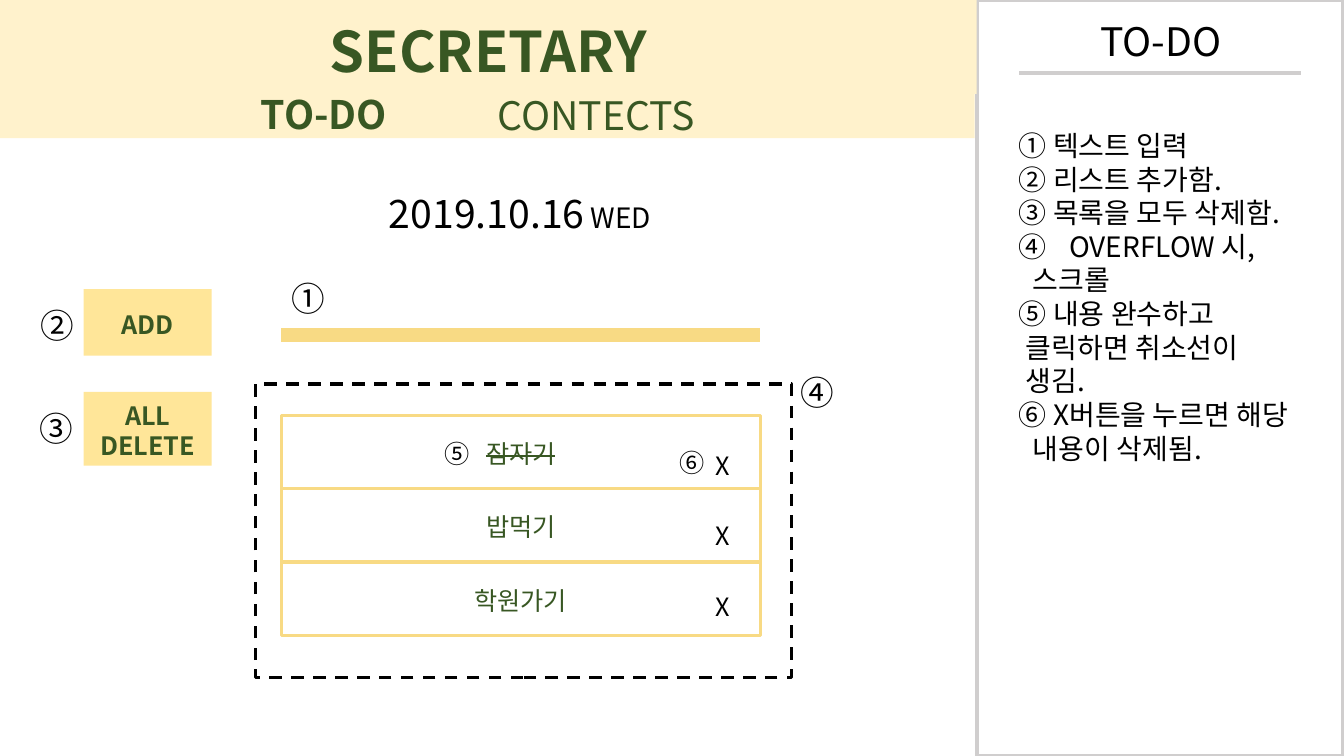
from lxml.etree import SubElement
from pptx import Presentation
from pptx.dml.color import RGBColor
from pptx.enum.dml import MSO_LINE
from pptx.enum.shapes import MSO_CONNECTOR, MSO_SHAPE
from pptx.enum.text import MSO_ANCHOR, MSO_AUTO_SIZE, PP_ALIGN
from pptx.oxml.ns import qn
from pptx.util import Pt

FONT = "Noto Sans CJK KR"
CREAM = RGBColor(0xFF, 0xF2, 0xCC)
BUTTON_YELLOW = RGBColor(0xFF, 0xE6, 0x99)
LINE_YELLOW = RGBColor(0xF8, 0xDA, 0x84)
GREEN = RGBColor(0x38, 0x57, 0x23)
GRAY = RGBColor(0xD0, 0xCE, 0xCE)
BLACK = RGBColor(0, 0, 0)

TITLE = "SECRETARY"
TABS = [("TO-DO", 179.3, 59, 114, True), ("CONTECTS", 348.5, 59.8, 156, False)]
SIDEBAR_TITLE = "TO-DO"
DATE, WEEKDAY = "2019.10.16", " WED"
BUTTONS = [("ADD", 206.6, 47.5), ("ALL DELETE", 280, 52.6)]
TASKS = [("잠자기", True), ("밥먹기", False), ("학원가기", False)]
DELETE_MARK = "X"
MARKERS = [
    ("①", 201, 193.7, 24),
    ("②", 21.6, 213, 24),
    ("③", 21, 286.6, 24),
    ("④", 564.5, 260.6, 24),
    ("⑤", 310.3, 308.2, 18),
    ("⑥", 478, 314.6, 18),
]
NUMBERED_NOTE = "OVERFLOW 시,"
NOTES = [
    ("① 텍스트 입력", 0),
    ("② 리스트 추가함.", 0),
    ("③ 목록을 모두 삭제함.", 0),
    (NUMBERED_NOTE, 36),
    ("스크롤", 10),
    ("⑤ 내용 완수하고", 0),
    ("클릭하면 취소선이", 5),
    ("생김.", 5),
    ("⑥ X버튼을 누르면 해당", 0),
    ("내용이 삭제됨.", 10),
]

ROW_LEFT, ROW_TOP, ROW_WIDTH, ROW_HEIGHT, ROW_STEP = 201, 296.6, 342, 52.6, 52.3
MARK_TOP, MARK_STEP = 316.8, 50.4


def format_run(run, size, color, bold=False, strike=False):
    font = run.font
    font.size = Pt(size)
    font.bold = bold
    font.color.rgb = color
    font.name = FONT
    properties = run._r.get_or_add_rPr()
    SubElement(properties, qn("a:ea")).set("typeface", FONT)
    if strike:
        properties.set("strike", "sngStrike")


def format_text(shape, size, color, bold=False, strike=False,
                align=PP_ALIGN.LEFT, anchor=MSO_ANCHOR.TOP, wrap=True):
    frame = shape.text_frame
    frame.auto_size = MSO_AUTO_SIZE.NONE
    frame.word_wrap = wrap
    frame.vertical_anchor = anchor
    frame.margin_left = frame.margin_right = Pt(7.2)
    frame.margin_top = Pt(3.6 + 0.06 * size)
    frame.margin_bottom = Pt(3.6 - 0.06 * size)
    for paragraph in frame.paragraphs:
        paragraph.alignment = align
        paragraph.line_spacing = Pt(1.2 * size)
        for run in paragraph.runs:
            format_run(run, size, color, bold, strike)


def center_text(shape, text, size, bold=False, strike=False):
    shape.text_frame.text = text
    format_text(shape, size, GREEN, bold, strike, PP_ALIGN.CENTER, MSO_ANCHOR.MIDDLE)


def add_label(slide, text, left, top, width, size, color=BLACK, bold=False, wrap=True):
    box = slide.shapes.add_textbox(Pt(left), Pt(top), Pt(width), Pt(1.2 * size + 7.2))
    box.text_frame.text = text
    format_text(box, size, color, bold, wrap=wrap)
    return box


def add_rectangle(slide, left, top, width, height, fill=None, line=None, line_width=0):
    shape = slide.shapes.add_shape(
        MSO_SHAPE.RECTANGLE, Pt(left), Pt(top), Pt(width), Pt(height))
    shape.shadow.inherit = False
    if fill is None:
        shape.fill.background()
    else:
        shape.fill.solid()
        shape.fill.fore_color.rgb = fill
    if line is None:
        shape.line.fill.background()
    else:
        shape.line.color.rgb = line
        shape.line.width = Pt(line_width)
    return shape


def add_rule(slide, left, right, top, color, width):
    connector = slide.shapes.add_connector(
        MSO_CONNECTOR.STRAIGHT, Pt(left), Pt(top), Pt(right), Pt(top))
    connector.line.color.rgb = color
    connector.line.width = Pt(width)
    SubElement(connector._element.spPr, qn("a:effectLst"))


def add_header(slide):
    title = slide.shapes.title
    title.left, title.top, title.width, title.height = Pt(0), Pt(0), Pt(697.7), Pt(67)
    title.fill.solid()
    title.fill.fore_color.rgb = CREAM
    center_text(title, TITLE, 40, bold=True)
    slide.shapes._spTree.append(title._element)
    add_rectangle(slide, 0, 52.6, 696.2, 46, CREAM)
    for text, left, top, width, bold in TABS:
        add_label(slide, text, left, top, width, 28, GREEN, bold)


def add_notes(slide):
    box = slide.shapes.add_textbox(Pt(720.7), Pt(87), Pt(237.6), Pt(250))
    frame = box.text_frame
    frame.text = "\n".join(text for text, indent in NOTES)
    for paragraph, (text, indent) in zip(frame.paragraphs, NOTES):
        properties = paragraph._p.get_or_add_pPr()
        properties.set("marL", str(Pt(indent)))
        if text == NUMBERED_NOTE:
            properties.set("indent", str(-Pt(indent)))
            bullet = SubElement(properties, qn("a:buAutoNum"))
            bullet.set("type", "circleNumDbPlain")
            bullet.set("startAt", "4")
    format_text(box, 20, BLACK)


def add_task_list(slide):
    scroll_area = add_rectangle(slide, 182.2, 274.3, 383, 209.5, line=BLACK, line_width=2.25)
    scroll_area.line.dash_style = MSO_LINE.DASH
    for index, (task, done) in enumerate(TASKS):
        row = add_rectangle(slide, ROW_LEFT, ROW_TOP + index * ROW_STEP, ROW_WIDTH,
                            ROW_HEIGHT, line=LINE_YELLOW, line_width=2.25)
        center_text(row, task, 18, strike=done)
        add_label(slide, DELETE_MARK, 504, MARK_TOP + index * MARK_STEP, 26, 18)


def main():
    presentation = Presentation()
    presentation.slide_width, presentation.slide_height = Pt(960), Pt(540)
    slide = presentation.slides.add_slide(presentation.slide_layouts[5])

    add_rectangle(slide, 697.7, 0, 262.1, 540, line=GRAY, line_width=3)
    add_rule(slide, 728, 929.5, 52.3, GRAY, 2.75)
    add_header(slide)
    add_label(slide, SIDEBAR_TITLE, 779, 7.2, 106, 28)

    for text, top, height in BUTTONS:
        button = add_rectangle(slide, 59.8, top, 91.4, height, BUTTON_YELLOW)
        center_text(button, text, 18, bold=True)
    add_rule(slide, ROW_LEFT, ROW_LEFT + ROW_WIDTH, 239, LINE_YELLOW, 10)
    add_task_list(slide)
    for text, left, top, size in MARKERS:
        add_label(slide, text, left, top, size + 14.4, size)

    add_notes(slide)
    date = add_label(slide, DATE, 270.7, 130.3, 202.3, 28, wrap=False)
    weekday = date.text_frame.paragraphs[0].add_run()
    weekday.text = WEEKDAY
    format_run(weekday, 20, BLACK)
    presentation.save("out.pptx")


if __name__ == "__main__":
    main()
